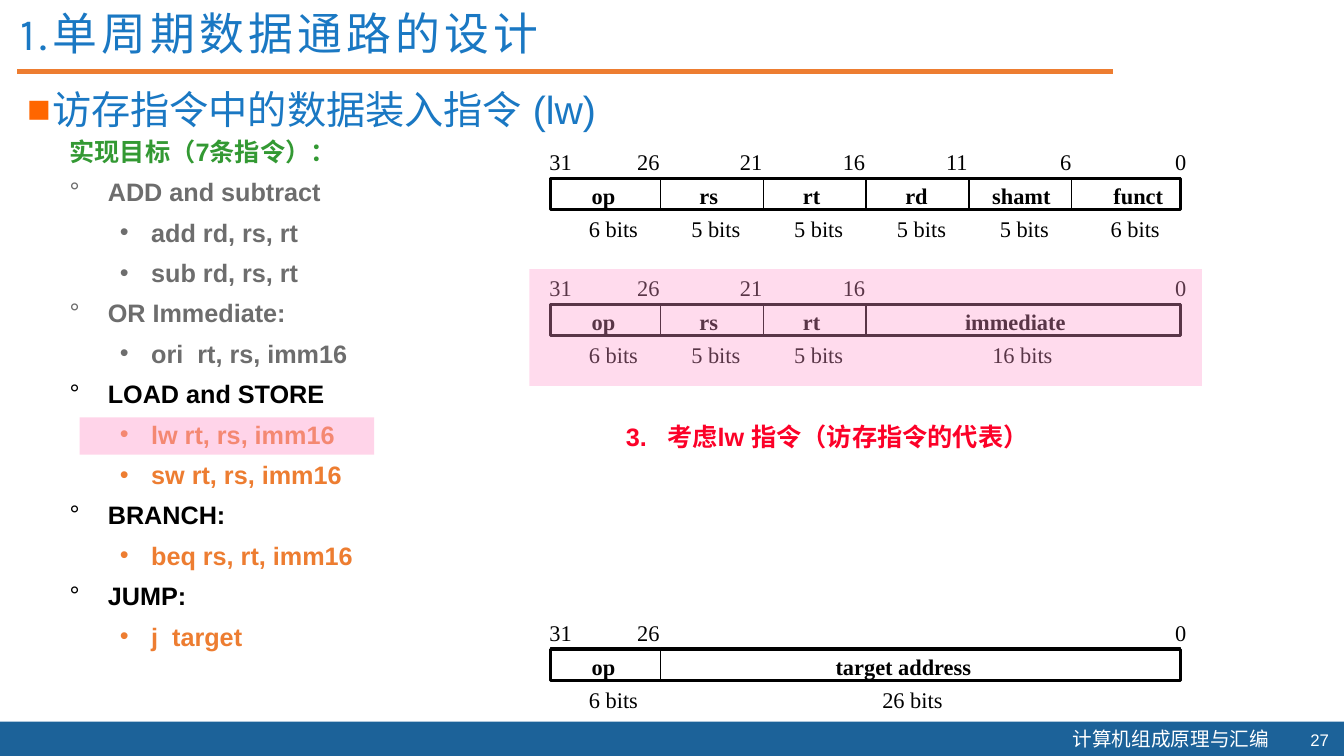
from collections import namedtuple

from lxml.etree import SubElement
from pptx import Presentation
from pptx.dml.color import RGBColor
from pptx.enum.shapes import MSO_CONNECTOR, MSO_SHAPE
from pptx.enum.text import MSO_ANCHOR, PP_ALIGN
from pptx.oxml.ns import qn
from pptx.util import Inches, Pt

BLUE = RGBColor(0x1A, 0x78, 0xC3)
FOOTER_BLUE = RGBColor(0x1C, 0x62, 0x99)
ORANGE = RGBColor(0xED, 0x7D, 0x31)
BULLET_ORANGE = RGBColor(0xFF, 0x66, 0x00)
GREEN = RGBColor(0x33, 0x99, 0x33)
GRAY = RGBColor(0x6D, 0x6D, 0x6D)
RED = RGBColor(0xFC, 0x01, 0x28)
PINK = RGBColor(0xFF, 0x99, 0xCC)
BLACK = RGBColor(0, 0, 0)
WHITE = RGBColor(0xFF, 0xFF, 0xFF)
CJK, SANS, SERIF, TITLE = "Noto Sans CJK SC", "Arial", "Times New Roman", "Karla"

SLIDE_WIDTH, SLIDE_HEIGHT = 13.33, 7.5
BIT_EDGES = {31: 5.46, 26: 6.55, 21: 7.57, 16: 8.59, 11: 9.61, 6: 10.63, 0: 11.71}

# Nudges move the name and the width label off the centre of the cell.
Field = namedtuple("Field", "name high low width name_nudge width_nudge")
OP = Field("op", 31, 26, 6, -0.02, 0.08)
RS = Field("rs", 26, 21, 5, -0.03, 0.04)
RT = Field("rt", 21, 16, 5, -0.03, 0.04)
RD = Field("rd", 16, 11, 5, -0.01, 0.04)
SHAMT = Field("shamt", 11, 6, 5, 0.01, 0.04)
FUNCT = Field("funct", 6, 0, 6, 0.12, 0.09)
IMMEDIATE = Field("immediate", 16, 0, 16, -0.08, -0.01)
TARGET = Field("target address", 26, 0, 26, -0.17, -0.08)
FORMATS = [
    (1.76, [OP, RS, RT, RD, SHAMT, FUNCT]),
    (3.01, [OP, RS, RT, IMMEDIATE]),
    (6.43, [OP, TARGET]),
]

INSTRUCTIONS = [
    ("ADD and subtract", GRAY, ["add rd, rs, rt", "sub rd, rs, rt"], GRAY),
    ("OR Immediate:", GRAY, ["ori  rt, rs, imm16"], GRAY),
    ("LOAD and STORE", BLACK, ["lw rt, rs, imm16", "sw rt, rs, imm16"], ORANGE),
    ("BRANCH:", BLACK, ["beq rs, rt, imm16"], ORANGE),
    ("JUMP:", BLACK, ["j  target"], ORANGE),
]


def add_text_box(shapes, left, top, width, height, margins=(0.1, 0.05), wrap=True):
    frame = shapes.add_textbox(*map(Inches, (left, top, width, height))).text_frame
    frame.word_wrap = wrap
    frame.margin_left = frame.margin_right = Inches(margins[0])
    frame.margin_top = frame.margin_bottom = Inches(margins[1])
    return frame


def add_run(paragraph, text, size, color, font=SANS, east_asian=None, bold=False):
    run = paragraph.add_run()
    run.text = text
    run.font.size, run.font.bold, run.font.name = Pt(size), bold, font
    run.font.color.rgb = color
    SubElement(run.font._element, qn("a:ea"), typeface=east_asian or font)
    return run


def set_bullet(paragraph, symbol, left, hanging, color=None):
    properties = paragraph._p.get_or_add_pPr()
    properties.set("marL", str(Inches(left)))
    properties.set("indent", str(-Inches(hanging)))
    if color is not None:
        holder = SubElement(properties, qn("a:buClr"))
        SubElement(holder, qn("a:srgbClr"), val=str(color))
    SubElement(properties, qn("a:buFont"), typeface=SANS)
    SubElement(properties, qn("a:buChar"), char=symbol)


def add_rectangle(shapes, left, top, width, height, fill=None, alpha=None, line=None):
    shape = shapes.add_shape(MSO_SHAPE.RECTANGLE, *map(Inches, (left, top, width, height)))
    shape.shadow.inherit = False
    if fill is None:
        shape.fill.background()
    else:
        shape.fill.solid()
        shape.fill.fore_color.rgb = fill
    if alpha is not None:
        color = shape.fill._xPr.find(".//" + qn("a:srgbClr"))
        SubElement(color, qn("a:alpha"), val=str(alpha * 1000))
    if line is None:
        shape.line.fill.background()
    else:
        shape.line.color.rgb = BLACK
        shape.line.width = Pt(line)


def add_footer(slide, top, height):
    add_rectangle(slide.shapes, 0, top, SLIDE_WIDTH, height, fill=FOOTER_BLUE)
    course = add_text_box(slide.shapes, 10.54, top, 2.18, height)
    add_run(course.paragraphs[0], "计算机组成原理与汇编", 14, WHITE, CJK)
    number = add_text_box(slide.shapes, 12.78, top + 0.03, 0.5, 0.3)
    number.vertical_anchor = MSO_ANCHOR.MIDDLE
    number.paragraphs[0].alignment = PP_ALIGN.RIGHT
    add_run(number.paragraphs[0], "27", 12, WHITE)


def add_header(slide, left, top, width):
    title = add_text_box(slide.shapes, left - 0.06, top, width, 0.48).paragraphs[0]
    title.line_spacing = 0.9
    run = add_run(title, "1.单周期数据通路的设计", 32, BLUE, TITLE, CJK)
    run.font._element.set("spc", "300")
    rule = slide.shapes.add_connector(
        MSO_CONNECTOR.STRAIGHT,
        *map(Inches, (left, top + 0.64, 11.04, top + 0.64)))
    rule.line.color.rgb, rule.line.width = ORANGE, Pt(3)
    SubElement(rule._element.spPr, qn("a:effectLst"))
    heading = add_text_box(slide.shapes, left, top + 0.73, 12.94, 0.71).paragraphs[0]
    set_bullet(heading, "■", 0.25, 0.25, BULLET_ORANGE)
    add_run(heading, "访存指令中的数据装入指令 (lw)", 28, BLUE)


def add_instruction_list(slide, left, top, width, height):
    frame = add_text_box(slide.shapes, left, top, width, height, margins=(0.07, 0.03))
    add_run(frame.paragraphs[0], "实现目标（7条指令）：", 18, GREEN, bold=True)

    def add_item(text, color, symbol, indent, hanging):
        paragraph = frame.add_paragraph()
        set_bullet(paragraph, symbol, indent, hanging)
        paragraph.space_before = Pt(7.25)
        add_run(paragraph, text, 18, color, bold=True)
        return paragraph

    for group, group_color, codes, code_color in INSTRUCTIONS:
        add_item(group, group_color, "°", 0.38, 0.38)
        for code in codes:
            add_item(code, code_color, "•", 0.81, 0.31).level = 1


def add_instruction_format(slide, top, fields):
    """Draw one row of bit fields with bit numbers above and widths below."""
    shapes = slide.shapes.add_group_shape().shapes
    start, end = BIT_EDGES[31], BIT_EDGES[0]

    def add_label(text, center, label_top, bold=False):
        width = 0.3 + 0.1 * len(text)
        frame = add_text_box(shapes, center - width / 2, label_top, width, 0.36, wrap=False)
        frame.paragraphs[0].alignment = PP_ALIGN.CENTER
        add_run(frame.paragraphs[0], text, 16, BLACK, SERIF, bold=bold)

    add_rectangle(shapes, start, top + 0.01, end - start, 0.31, line=2)
    add_label("31", start + 0.1, top - 0.34)
    for field in fields:
        left, right = BIT_EDGES[field.high], BIT_EDGES[field.low]
        center = (left + right) / 2
        add_rectangle(shapes, left, top, right - left, 0.32, line=1)
        add_label(field.name, center + field.name_nudge, top, bold=True)
        bit_shift = 0 if field.low == 0 else -0.06 * len(str(field.low))
        add_label(str(field.low), right + bit_shift, top - 0.34)
        add_label(f"{field.width} bits", center + field.width_nudge, top + 0.33)


def add_callout(slide, left, top, width, height):
    paragraph = add_text_box(slide.shapes, left, top, width, height).paragraphs[0]
    tabs = SubElement(paragraph._p.get_or_add_pPr(), qn("a:tabLst"))
    SubElement(tabs, qn("a:tab"), pos=str(Inches(0.41)), algn="l")
    add_run(paragraph, "3.\t考虑lw 指令（访存指令的代表）", 18, RED, bold=True)


def add_highlights(slide):
    shapes = slide.shapes.add_group_shape().shapes
    add_rectangle(shapes, 0.79, 4.14, 2.92, 0.37, fill=PINK, alpha=42)
    add_rectangle(shapes, 5.25, 2.67, 6.67, 1.16, fill=PINK, alpha=35)


def main():
    presentation = Presentation()
    presentation.slide_width = Inches(SLIDE_WIDTH)
    presentation.slide_height = Inches(SLIDE_HEIGHT)
    slide = presentation.slides.add_slide(presentation.slide_layouts[6])
    add_footer(slide, 7.16, 0.34)
    add_header(slide, 0.17, 0.07, 10.65)
    for top, fields in FORMATS:
        add_instruction_format(slide, top, fields)
    add_instruction_list(slide, 0.62, 1.32, 3.47, 5.23)
    add_callout(slide, 6.11, 4.13, 4.46, 0.4)
    add_highlights(slide)
    presentation.save("out.pptx")


if __name__ == "__main__":
    main()
